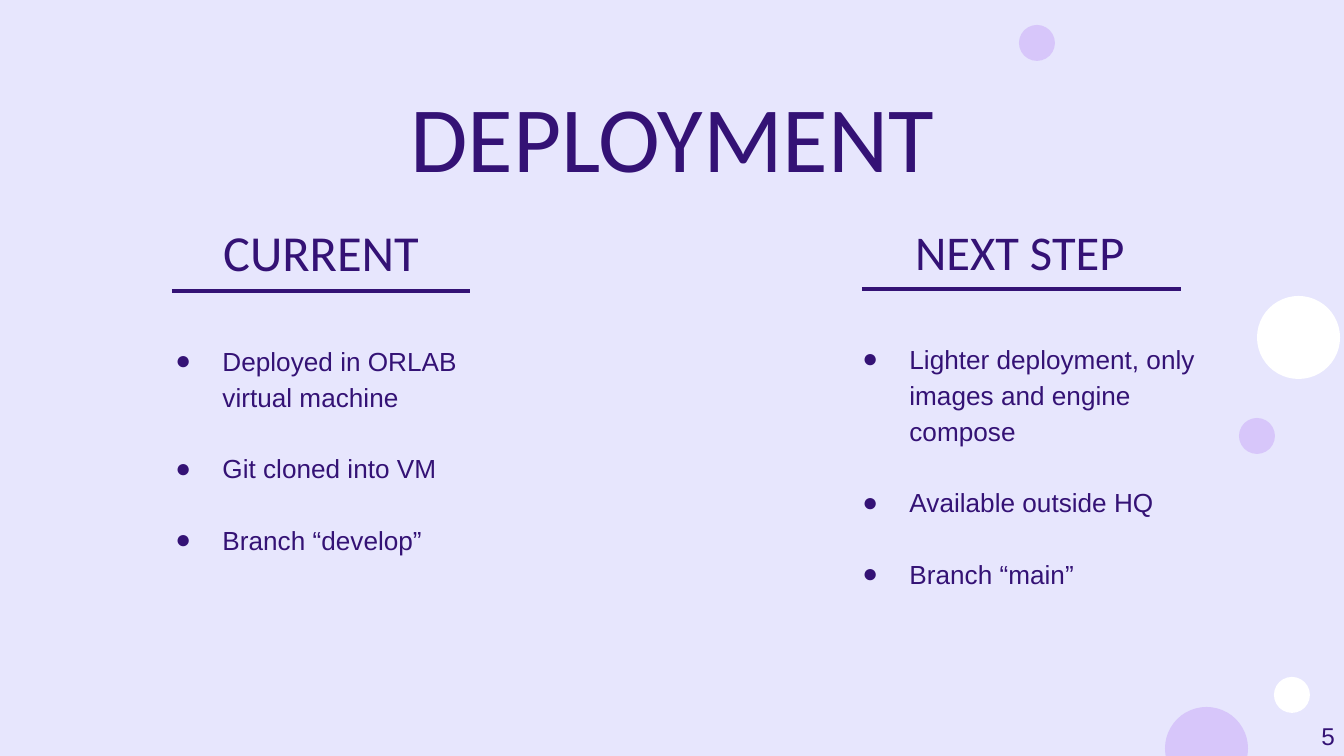
from lxml import etree
from pptx import Presentation
from pptx.dml.color import RGBColor
from pptx.enum.shapes import MSO_CONNECTOR, MSO_SHAPE
from pptx.enum.text import MSO_ANCHOR, PP_ALIGN
from pptx.oxml.ns import qn
from pptx.util import Inches, Pt

PX = 914400 / 134.4
INK = RGBColor(0x34, 0x12, 0x75)
LILAC = RGBColor(0xD7, 0xC6, 0xFA)
WHITE = RGBColor(0xFF, 0xFF, 0xFF)
PALE = RGBColor(0xE7, 0xE6, 0xFD)


def add_box(*rect, anchor=MSO_ANCHOR.TOP):
    frame = slide.shapes.add_textbox(*[round(v * PX) for v in rect]).text_frame
    frame.word_wrap = True
    frame.vertical_anchor = anchor
    frame.margin_left = frame.margin_right = Inches(0.1)
    frame.margin_top = frame.margin_bottom = Inches(0.1)
    return frame


def add_run(para, text, size, font, align):
    para.alignment = align
    run = para.add_run()
    run.text = text
    run.font.size = Pt(size)
    run.font.name = font
    run.font.color.rgb = INK


deck = Presentation()
deck.slide_width = round(1344 * PX)
deck.slide_height = round(756 * PX)
slide = deck.slides.add_slide(deck.slide_layouts[6])
slide.background.fill.solid()
slide.background.fill.fore_color.rgb = PALE

dots = [
    (1239, 418, 36, LILAC),
    (1257, 296, 83, WHITE),
    (1165, 707, 83, LILAC),
    (1019, 25, 36, LILAC),
    (1274, 677, 36, WHITE),
]
for left, top, size, color in dots:
    rect = [round(v * PX) for v in (left, top, size, size)]
    dot = slide.shapes.add_shape(MSO_SHAPE.OVAL, *rect)
    dot.shadow.inherit = False
    dot.fill.solid()
    dot.fill.fore_color.rgb = color
    dot.line.fill.background()

number = add_box(1267, 708, 81, 58)
add_run(number.paragraphs[0], "5", 13, "Arial", PP_ALIGN.RIGHT)

title = add_box(106, 66, 1133, 85)
add_run(title.paragraphs[0], "DEPLOYMENT", 50, "Calibri", PP_ALIGN.CENTER)

columns = [
    ("CURRENT", 27, (172, 204, 298, 94), (172, 470, 291), (142, 327, 339, 327),
     ["Deployed in ORLAB virtual machine", "Git cloned into VM", "Branch “develop”"]),
    ("NEXT STEP", 26, (860, 218, 320, 66), (862, 1181, 289), (829, 325, 386, 228),
     ["Lighter deployment, only images and engine compose",
      "Available outside HQ", "Branch “main”"]),
]
for head, size, place, (start, end, level), area, items in columns:
    label = add_box(*place, anchor=MSO_ANCHOR.MIDDLE)
    add_run(label.paragraphs[0], head, size, "Calibri", PP_ALIGN.CENTER)

    ends = [round(v * PX) for v in (start, level, end, level)]
    rule = slide.shapes.add_connector(MSO_CONNECTOR.STRAIGHT, *ends)
    rule.line.color.rgb = INK
    rule.line.width = Pt(2.25)
    etree.SubElement(rule._element.spPr, qn("a:effectLst"))

    body = add_box(*area)
    for index, item in enumerate(items):
        para = body.paragraphs[0] if index == 0 else body.add_paragraph()
        para.line_spacing = 1.15
        para.space_before = Pt(19 if index else 0)
        add_run(para, item, 14, "Arial", PP_ALIGN.LEFT)
        props = para._p.get_or_add_pPr()
        props.set("marL", str(Inches(0.5)))
        props.set("indent", str(Inches(-0.35)))
        tint = etree.SubElement(props, qn("a:buClr"))
        etree.SubElement(tint, qn("a:srgbClr"), val=str(INK))
        etree.SubElement(props, qn("a:buFont"), typeface="Arial")
        etree.SubElement(props, qn("a:buChar"), char="●")

deck.save("out.pptx")
